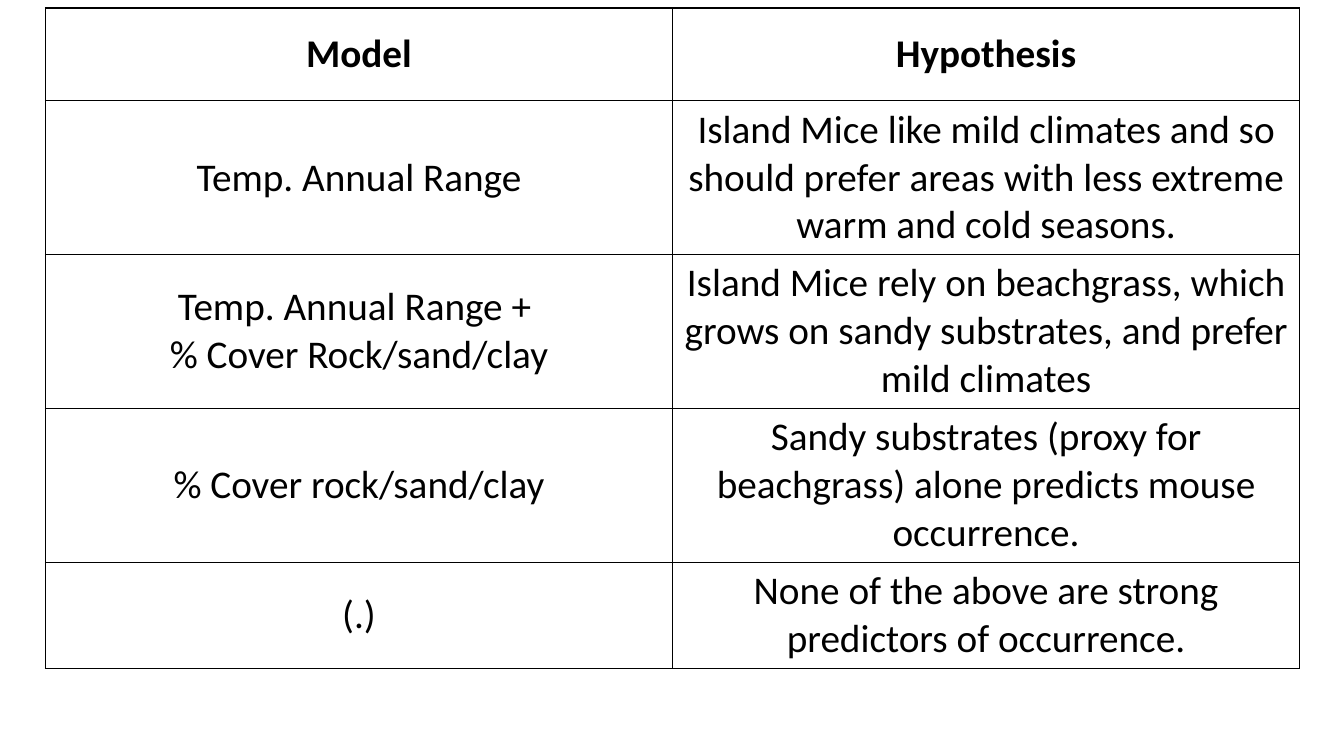
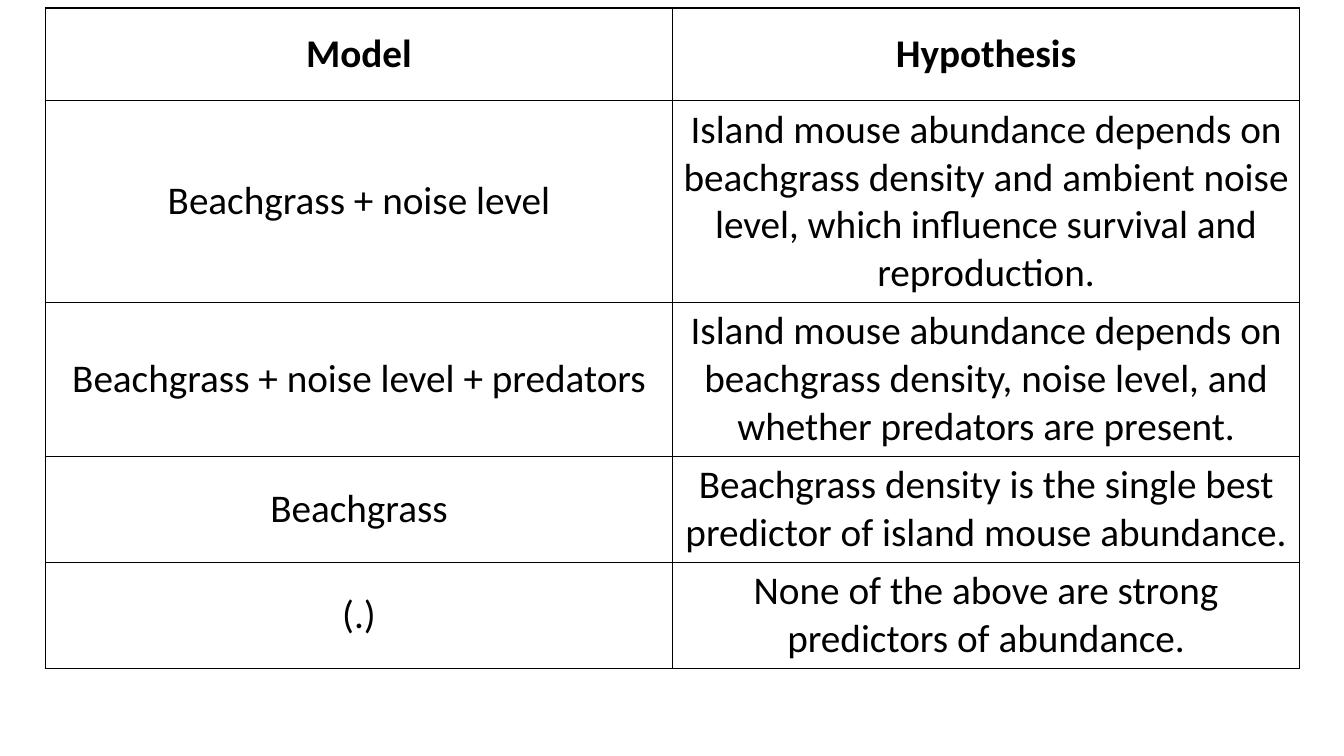
"""Build two slides, each a table of models and their hypotheses."""
from lxml.etree import SubElement as Sub
from pptx import Presentation
from pptx.dml.color import RGBColor
from pptx.enum.text import MSO_ANCHOR as Anchor, PP_ALIGN as Align
from pptx.oxml.ns import qn
from pptx.util import Inches, Pt

INK = "000000"
PAPER = "FFFFFF"
FONT = "Calibri"
SIZE = Pt(28)
LEFT, TOP = Inches(0.45), Inches(0.08)
WIDTH, ROW = Inches(12.44), Inches(0.92)
HEAD = ("Model", "Hypothesis")

TABLES = [
    [
        ("Temp. Annual Range",
         "Island Mice like mild climates and so should prefer areas with "
         "less extreme warm and cold seasons."),
        ("Temp. Annual Range + \n% Cover Rock/sand/clay",
         "Island Mice rely on beachgrass, which grows on sandy substrates, "
         "and prefer mild climates"),
        ("% Cover rock/sand/clay",
         "Sandy substrates (proxy for beachgrass) alone predicts mouse "
         "occurrence."),
        ("(.)", "None of the above are strong predictors of occurrence."),
    ],
    [
        ("Beachgrass + noise level",
         "Island mouse abundance depends on beachgrass density and ambient "
         "noise level, which influence survival and reproduction."),
        ("Beachgrass + noise level + predators",
         "Island mouse abundance depends on beachgrass density, noise level, "
         "and whether predators are present."),
        ("Beachgrass",
         "Beachgrass density is the single best predictor of island mouse "
         "abundance. "),
        ("(.)", "None of the above are strong predictors of abundance."),
    ],
]


def color(code):
    return RGBColor.from_string(code)


def border(cell):
    props = cell._tc.get_or_add_tcPr()
    for side in ("lnL", "lnR", "lnT", "lnB"):
        line = Sub(props, qn(f"a:{side}"), w=str(Pt(1)))
        fill = Sub(line, qn("a:solidFill"))
        Sub(fill, qn("a:srgbClr"), val=INK)


deck = Presentation()
deck.slide_width, deck.slide_height = Inches(13.33), Inches(7.5)

for body in TABLES:
    slide = deck.slides.add_slide(deck.slide_layouts[6])
    rows = [HEAD] + body
    frame = slide.shapes.add_table(
        len(rows), len(HEAD), LEFT, TOP, WIDTH, ROW * len(rows))
    table = frame.table
    table.horz_banding = False
    for r, row in enumerate(rows):
        for c, text in enumerate(row):
            cell = table.cell(r, c)
            border(cell)
            cell.fill.solid()
            cell.fill.fore_color.rgb = color(PAPER)
            cell.vertical_anchor = Anchor.MIDDLE
            cell.text_frame.text = text
            for para in cell.text_frame.paragraphs:
                para.alignment = Align.CENTER
                for run in para.runs:
                    font = run.font
                    font.name, font.size = FONT, SIZE
                    font.bold = r == 0
                    font.color.rgb = color(INK)

deck.save("out.pptx")
